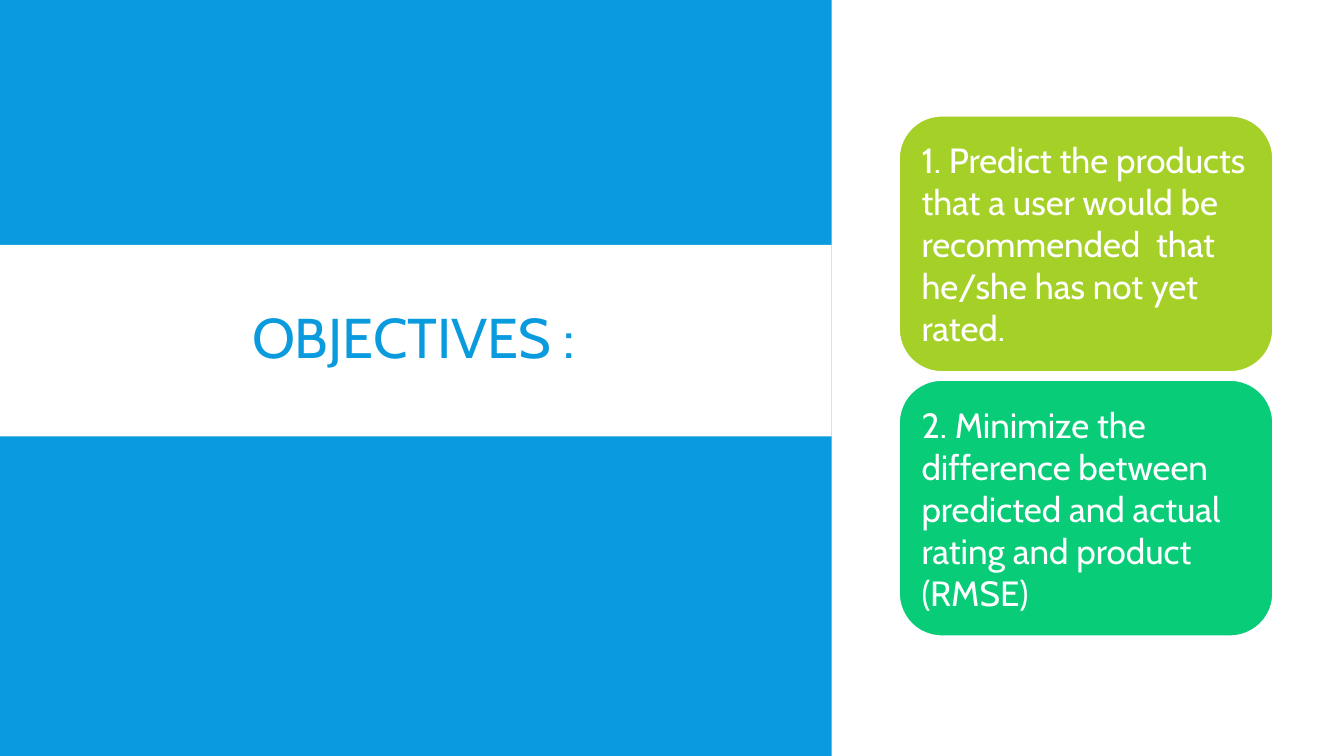
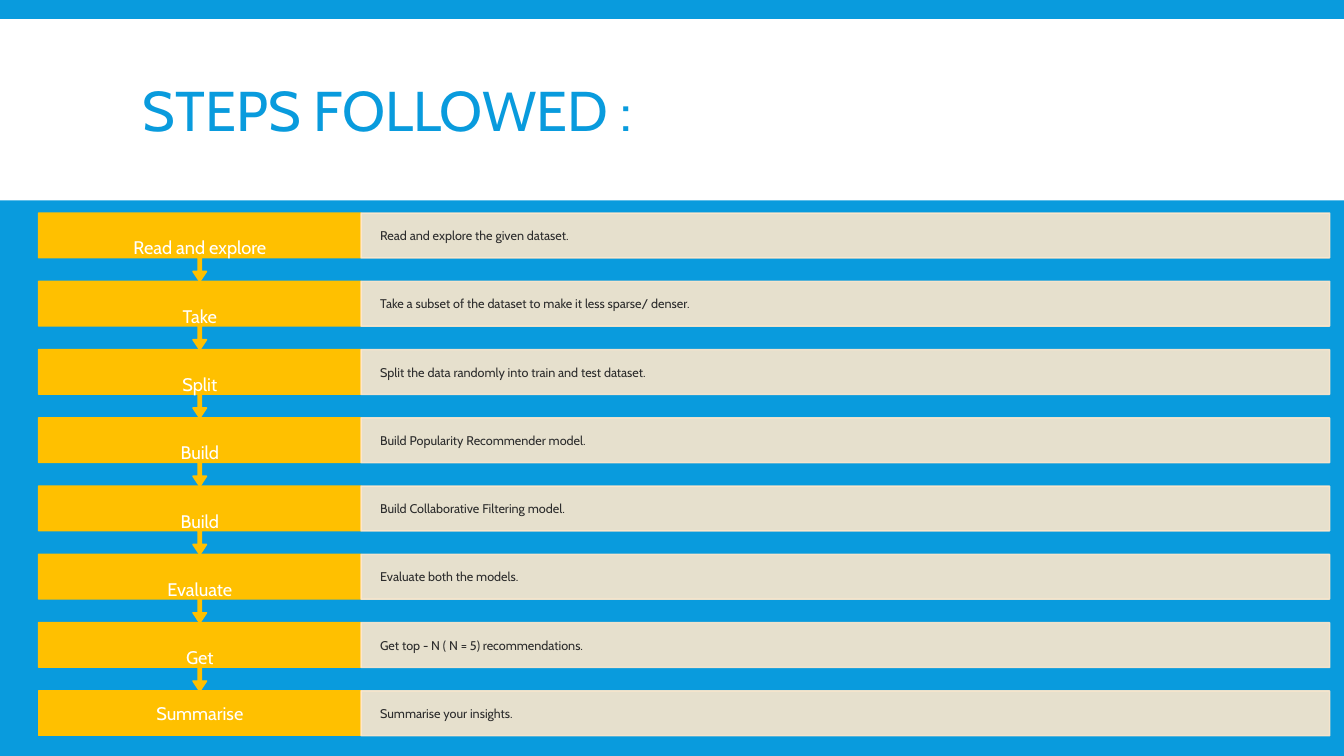
from lxml.etree import SubElement
from pptx import Presentation
from pptx.dml.color import RGBColor
from pptx.enum.shapes import MSO_SHAPE as Shape
from pptx.enum.text import MSO_ANCHOR as Anchor, PP_ALIGN as Align
from pptx.oxml.ns import qn
from pptx.util import Cm, Pt

BLUE, WHITE, DARK = "099BDD", "FFFFFF", "2C2C2C"
LIME, GREEN, AMBER, PEACH = "A5D028", "08CC78", "FFC000", "FFE8CC"
WIDTH, HEIGHT = 33.87, 19.05


def color(value):
    return RGBColor.from_string(value)


class Deck:
    """Holds the shared style and the current slide, and draws its elements."""

    font_name = "Cabin"

    def __init__(self):
        self.presentation = Presentation()
        self.presentation.slide_width = Cm(WIDTH)
        self.presentation.slide_height = Cm(HEIGHT)
        self.slide = None

    def add_slide(self, background):
        self.slide = self.presentation.slides.add_slide(self.presentation.slide_layouts[6])
        self.slide.background.fill.solid()
        self.slide.background.fill.fore_color.rgb = color(background)

    def set_text(self, shape, text, size, ink, align, insets):
        frame = shape.text_frame
        frame.word_wrap = True
        frame.vertical_anchor = Anchor.MIDDLE
        frame.margin_left, frame.margin_top, frame.margin_right, frame.margin_bottom = map(Cm, insets)
        paragraph = frame.paragraphs[0]
        paragraph.text = text
        paragraph.alignment = align
        paragraph.font.name = self.font_name
        paragraph.font.size = Pt(size)
        paragraph.font.color.rgb = color(ink)
        return paragraph

    def block(self, kind, box, fill, line=None, opacity=None):
        shape = self.slide.shapes.add_shape(kind, *map(Cm, box))
        shape.shadow.inherit = False
        shape.fill.solid()
        shape.fill.fore_color.rgb = color(fill)
        if line:
            shape.line.color.rgb = color(line)
            shape.line.width = Pt(1)
        else:
            shape.line.fill.background()
        if opacity:
            for tone in shape.element.spPr.iter(qn("a:srgbClr")):
                SubElement(tone, qn("a:alpha"), val=str(opacity * 1000))
        return shape

    def title(self, text, box, align=Align.LEFT):
        shape = self.slide.shapes.add_textbox(*map(Cm, box))
        paragraph = self.set_text(shape, text, 40, BLUE, align, (0.25, 0.13, 0.25, 0.13))
        paragraph.line_spacing = 0.85
        paragraph.space_after = Pt(6)

    def band(self, top, width, height):
        self.block(Shape.RECTANGLE, (0, top, width, height), WHITE)

    def card(self, text, box, fill):
        shape = self.block(Shape.ROUNDED_RECTANGLE, box, fill, WHITE)
        self.set_text(shape, text, 25, WHITE, Align.LEFT, (0.25,) * 4)

    def step(self, name, detail, top, is_last):
        left, label_width, bar_width, height, callout_height = 0.97, 8.13, 24.41, 1.13, 1.73
        if is_last:
            label = self.block(Shape.RECTANGLE, (left, top, label_width, height), AMBER, AMBER)
            insets = (0.58, 0.25, 0.58, 0.25)
        else:
            label = self.block(Shape.DOWN_ARROW_CALLOUT, (left, top, label_width, callout_height), AMBER, AMBER)
            for index, ratio in enumerate((0.05, 0.1, 0.15, 0.65)):
                label.adjustments[index] = ratio
            insets = (0.58, 0.62, 0.58, 0)
        self.set_text(label, name, 13, WHITE, Align.CENTER, insets)
        bar = self.block(Shape.RECTANGLE, (left + label_width, top, bar_width, height), PEACH, PEACH, 90)
        self.set_text(bar, detail, 9, DARK, Align.LEFT, (0.48, 0.3, 0.48, 0.3))

    def save(self):
        self.presentation.save("out.pptx")


def add_objectives(deck):
    panel_width = 20.96
    deck.add_slide(WHITE)
    deck.block(Shape.RECTANGLE, (0, 0, panel_width, HEIGHT), BLUE)
    deck.band(6.17, panel_width, 4.83)
    deck.title("OBJECTIVES :", (2.08, 6.5, 16.69, 4.19), Align.CENTER)
    objectives = (
        ("1. Predict the products that a user would be recommended  that he/she has not yet rated.", LIME),
        ("2. Minimize the difference between predicted and actual rating and product (RMSE)", GREEN),
    )
    for index, (text, fill) in enumerate(objectives):
        deck.card(text, (22.66, 2.92 + index * 6.66, 9.42, 6.45), fill)


def add_steps(deck):
    deck.add_slide(BLUE)
    deck.band(0.48, WIDTH, 4.57)
    deck.title("STEPS FOLLOWED :", (3.35, 0.79, 27.18, 4.19))
    steps = (
        ("Read and explore", "Read and explore the given dataset."),
        ("Take", "Take a subset of the dataset to make it less sparse/ denser."),
        ("Split", "Split the data randomly into train and test dataset."),
        ("Build", "Build Popularity Recommender model."),
        ("Build", "Build Collaborative Filtering model."),
        ("Evaluate", "Evaluate both the models."),
        ("Get", "Get top - N ( N = 5) recommendations."),
        ("Summarise", "Summarise your insights."),
    )
    for index, (name, detail) in enumerate(steps):
        deck.step(name, detail, 5.37 + index * 1.72, index == len(steps) - 1)


def main():
    deck = Deck()
    add_objectives(deck)
    add_steps(deck)
    deck.save()


if __name__ == "__main__":
    main()
